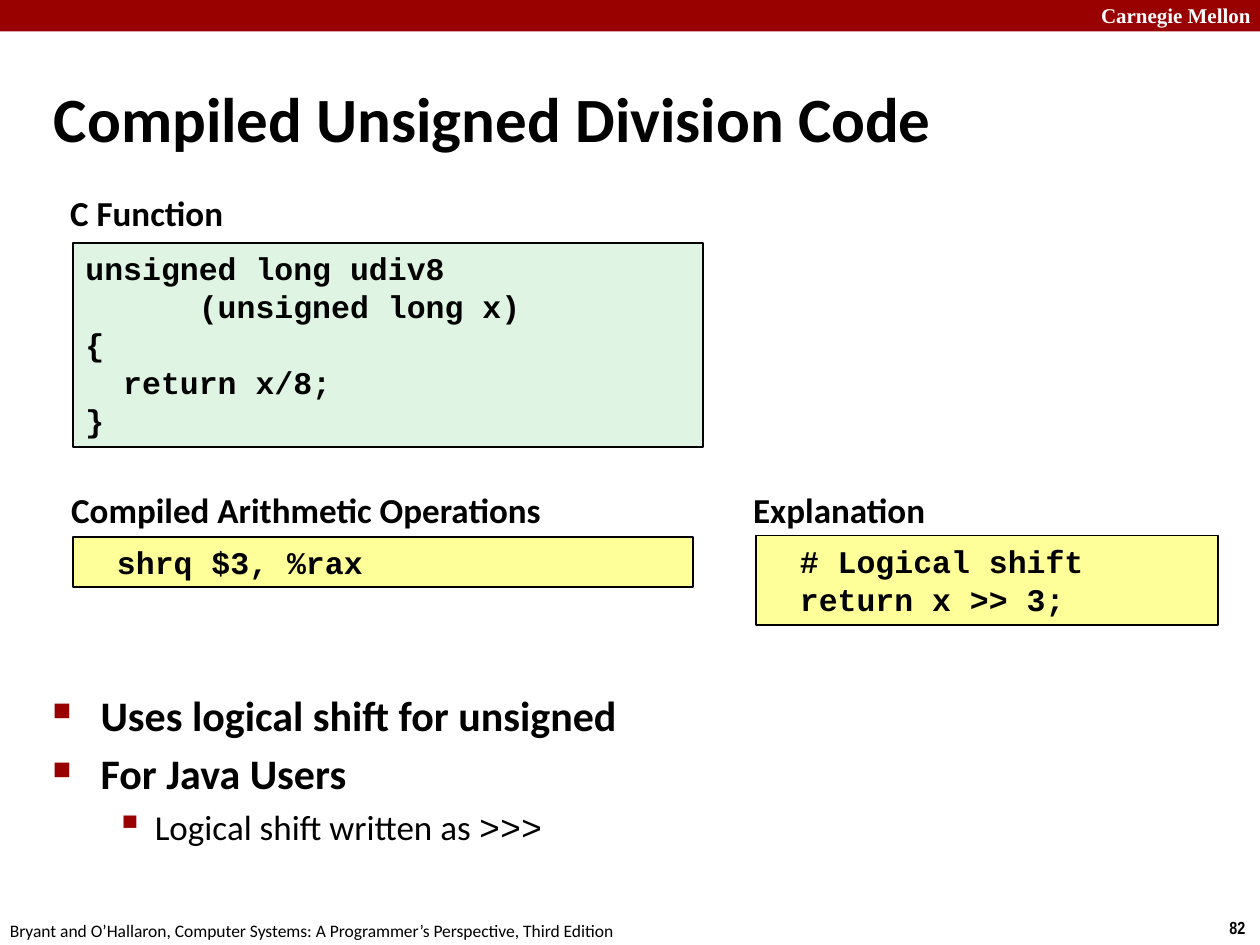
from lxml import etree
from pptx import Presentation
from pptx.dml.color import RGBColor
from pptx.enum.shapes import MSO_SHAPE
from pptx.enum.text import MSO_ANCHOR, MSO_AUTO_SIZE, PP_ALIGN
from pptx.oxml.ns import qn
from pptx.util import Inches, Pt

RECTANGLE = MSO_SHAPE.RECTANGLE
TOP, MIDDLE = MSO_ANCHOR.TOP, MSO_ANCHOR.MIDDLE
LEFT, CENTER = PP_ALIGN.LEFT, PP_ALIGN.CENTER
GROW = MSO_AUTO_SIZE.SHAPE_TO_FIT_TEXT

COLORS = {
    "black": "000000",
    "white": "FFFFFF",
    "red": "990000",
    "c_code": "E0F4E3",
    "assembly": "FFFF99",
}
SANS, MONO = "Calibri", "Courier New"


def color(name):
    return RGBColor.from_string(COLORS[name])


def add_run(paragraph, text, size, font=SANS, bold=True, ink="black"):
    run = paragraph.add_run()
    run.text = text
    run.font.size = Pt(size)
    run.font.name = font
    run.font.bold = bold
    run.font.color.rgb = color(ink)


def set_indent(paragraph, margin, hanging):
    properties = paragraph._p.get_or_add_pPr()
    properties.set("marL", str(Inches(margin)))
    properties.set("indent", str(-Inches(hanging)))
    return properties


def add_bullet(paragraph, symbol, percent, margin, hanging):
    properties = set_indent(paragraph, margin, hanging)
    bullet_color = etree.SubElement(properties, qn("a:buClr"))
    etree.SubElement(bullet_color, qn("a:srgbClr"), val=COLORS["red"])
    etree.SubElement(properties, qn("a:buSzPct"), val=str(percent * 1000))
    etree.SubElement(properties, qn("a:buChar"), char=symbol)


def add_tab_stop(paragraph, position):
    tabs = etree.SubElement(paragraph._p.get_or_add_pPr(), qn("a:tabLst"))
    etree.SubElement(tabs, qn("a:tab"), pos=str(Inches(position)), algn="l")


def add_text_frame(slide, left, top, width, height, wrap=True):
    box = slide.shapes.add_textbox(*map(Inches, (left, top, width, height)))
    box.text_frame.word_wrap = wrap
    return box.text_frame


def add_rectangle(slide, left, top, width, height, fill):
    rectangle = slide.shapes.add_shape(
        RECTANGLE, *map(Inches, (left, top, width, height)))
    rectangle.shadow.inherit = False
    rectangle.fill.solid()
    rectangle.fill.fore_color.rgb = color(fill)
    rectangle.line.fill.background()
    return rectangle


def add_code(slide, left, top, width, height, fill, lines):
    block = add_rectangle(slide, left, top, width, height, fill)
    block.line.color.rgb = color("black")
    block.line.width = Pt(1)
    frame = block.text_frame
    frame.word_wrap = True
    frame.auto_size = GROW
    frame.vertical_anchor = TOP
    for number, line in enumerate(lines):
        paragraph = frame.add_paragraph() if number else frame.paragraphs[0]
        paragraph.alignment = LEFT
        if line.startswith("\t"):
            add_tab_stop(paragraph, 0.25)
        add_run(paragraph, line, 18, MONO)


def add_heading(slide, left, top, width, text):
    """Label that stands above a code block."""
    frame = add_text_frame(slide, left, top, width, 0.44, wrap=False)
    frame.margin_left = frame.margin_right = Inches(0.05)
    frame.auto_size = GROW
    frame.paragraphs[0].alignment = CENTER
    add_run(frame.paragraphs[0], text, 20)


def add_title(slide, text):
    frame = add_text_frame(slide, 0.33, 0.62, 8.67, 0.63)
    frame.vertical_anchor = MIDDLE
    set_indent(frame.paragraphs[0], 0.13, 0.13)
    add_run(frame.paragraphs[0], text, 36)


def add_notes_on_shift(slide):
    frame = add_text_frame(slide, 0.32, 5.42, 9.09, 1.3)
    unsigned = frame.paragraphs[0]
    add_bullet(unsigned, "■", 60, 0.38, 0.38)
    add_run(unsigned, "Uses logical shift for unsigned", 24)

    java = frame.add_paragraph()
    java.space_before = Pt(4.8)
    add_bullet(java, "■", 60, 0.38, 0.38)
    add_run(java, "For Java Users", 24)

    operator = frame.add_paragraph()
    operator.level = 1
    operator.space_before = Pt(4)
    add_bullet(operator, "▪", 110, 0.81, 0.31)
    add_run(operator, "Logical shift written as ", 20, bold=False)
    add_run(operator, ">>>", 20, MONO, bold=False)


def add_banner_and_footer(slide):
    add_rectangle(slide, 0, 0, 10, 0.25, "red")
    university = add_text_frame(slide, 8.64, -0.03, 1.43, 0.3)
    add_run(university.paragraphs[0], "Carnegie Mellon", 12,
            "Times New Roman", ink="white")
    page = add_text_frame(slide, 9.66, 7.23, 0.34, 0.27, wrap=False)
    add_run(page.paragraphs[0], "82", 10, "Arial Narrow")
    book = add_text_frame(slide, -0.02, 7.25, 5.08, 0.27, wrap=False)
    add_run(book.paragraphs[0],
            "Bryant and O’Hallaron, Computer Systems: "
            "A Programmer’s Perspective, Third Edition", 10, bold=False)


def main():
    deck = Presentation()
    deck.slide_width, deck.slide_height = Inches(10), Inches(7.5)
    slide = deck.slides.add_slide(deck.slide_layouts[6])

    add_banner_and_footer(slide)
    add_title(slide, "Compiled Unsigned Division Code")

    add_heading(slide, 0.5, 1.47, 1.33, "C Function")
    add_code(slide, 0.58, 1.93, 5, 1.62, "c_code", [
        "unsigned long udiv8",
        "      (unsigned long x)",
        "{",
        "  return x/8;",
        "}",
    ])
    add_heading(slide, 0.5, 3.83, 3.86, "Compiled Arithmetic Operations")
    add_code(slide, 0.58, 4.26, 4.92, 0.4, "assembly", ["\tshrq\t$3, %rax"])
    add_heading(slide, 5.92, 3.83, 1.48, "Explanation")
    add_code(slide, 6, 4.25, 3.67, 0.71, "assembly",
             ["\t# Logical shift", "\treturn x >> 3;"])

    add_notes_on_shift(slide)
    deck.save("out.pptx")


if __name__ == "__main__":
    main()
